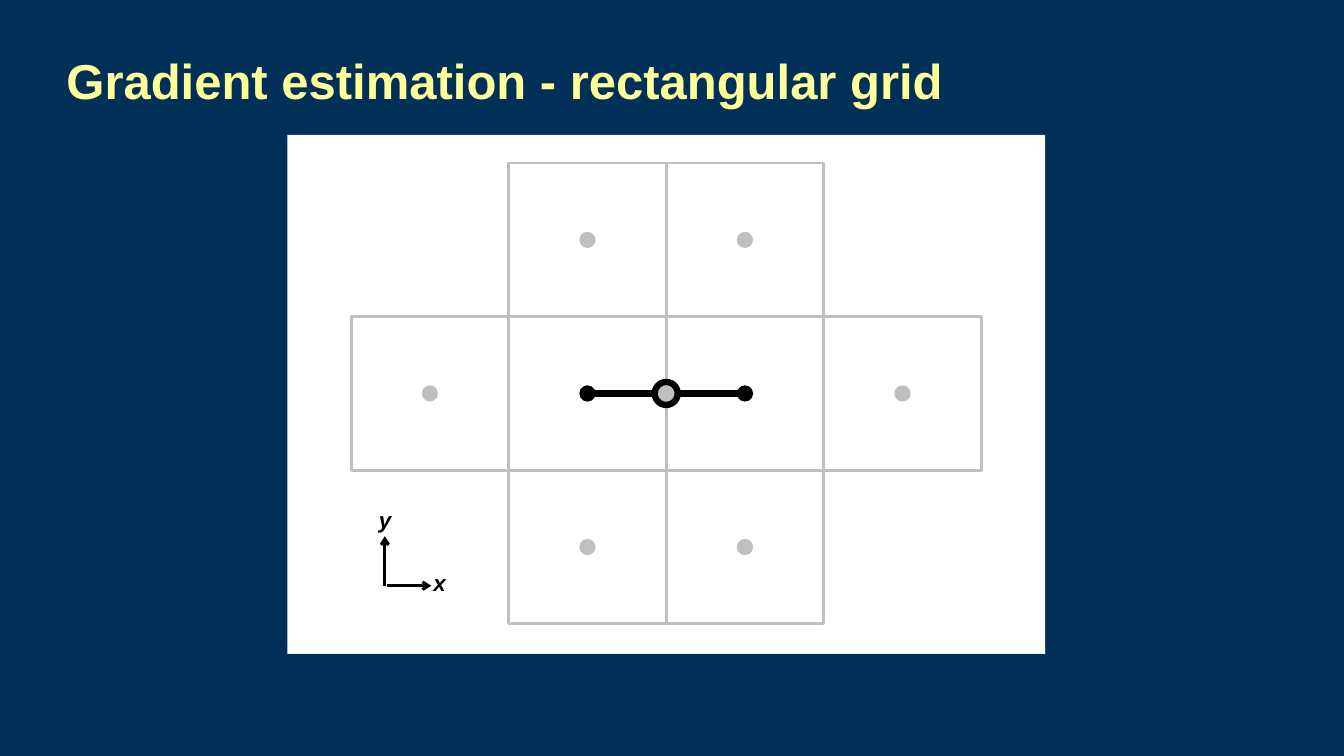
from lxml.etree import SubElement
from pptx import Presentation
from pptx.dml.color import RGBColor
from pptx.enum.shapes import MSO_CONNECTOR, MSO_SHAPE
from pptx.enum.text import MSO_ANCHOR, MSO_AUTO_SIZE, PP_ALIGN
from pptx.oxml.ns import qn
from pptx.util import Cm, Pt

NAVY = RGBColor(0x00, 0x2F, 0x57)
YELLOW = RGBColor(0xFF, 0xFF, 0x99)
WHITE = RGBColor(0xFF, 0xFF, 0xFF)
GRAY = RGBColor(0xBF, 0xBF, 0xBF)
BLACK = RGBColor(0x00, 0x00, 0x00)

GRID_LEFT, GRID_TOP = 8.85, 4.11
CELL_WIDTH, CELL_HEIGHT = 3.97, 3.87
DOT_SIZE, RING_SIZE = 0.41, 0.58
CELLS = [(1, 0), (2, 0), (0, 1), (1, 1), (2, 1), (3, 1), (1, 2), (2, 2)]
ACTIVE_CELLS = [(1, 1), (2, 1)]


def write_text(frame, text, size=16, color=BLACK, italic=False):
    """Write one bold, left-aligned line into a text frame."""
    para = frame.paragraphs[0]
    para.alignment = PP_ALIGN.LEFT
    span = para.add_run()
    span.text = text
    span.font.name = "Arial"
    span.font.size = Pt(size)
    span.font.bold = True
    span.font.italic = italic
    span.font.color.rgb = color


def cell_center(column, row):
    """Return the centre of a grid cell in centimetres."""
    return GRID_LEFT + (column + 0.5) * CELL_WIDTH, GRID_TOP + (row + 0.5) * CELL_HEIGHT


class GridPage:
    """Draw styled elements on the current slide."""

    def __init__(self, deck):
        """Add a title-only slide with the navy background."""
        self.page = deck.slides.add_slide(deck.slide_layouts[5])
        self.page.background.fill.solid()
        self.page.background.fill.fore_color.rgb = NAVY

    def title(self, text):
        """Place and format the title placeholder."""
        box = self.page.shapes.title
        box.left, box.top, box.width, box.height = Cm(1.42), Cm(0.43), Cm(30.76), Cm(3.18)
        box.text_frame.vertical_anchor = MSO_ANCHOR.MIDDLE
        box.text_frame.auto_size = MSO_AUTO_SIZE.NONE
        write_text(box.text_frame, text, size=35, color=YELLOW)

    def shape(self, kind, left, top, width, height, fill=None, line=None, weight=2):
        """Draw a preset shape with optional fill and outline."""
        shape = self.page.shapes.add_shape(kind, Cm(left), Cm(top), Cm(width), Cm(height))
        shape.shadow.inherit = False
        if fill is None:
            shape.fill.background()
        else:
            shape.fill.solid()
            shape.fill.fore_color.rgb = fill
        if line is None:
            shape.line.fill.background()
        else:
            shape.line.color.rgb = line
            shape.line.width = Pt(weight)

    def dot(self, center, size=DOT_SIZE, **style):
        """Draw a circle around a centre point."""
        x, y = center
        self.shape(MSO_SHAPE.OVAL, x - size / 2, y - size / 2, size, size, **style)

    def line(self, start, end, weight=2, arrow=False):
        """Draw a straight black line, with an arrowhead if asked."""
        points = [Cm(value) for value in (*start, *end)]
        line = self.page.shapes.add_connector(MSO_CONNECTOR.STRAIGHT, *points)
        line.line.color.rgb = BLACK
        line.line.width = Pt(weight)
        if arrow:
            SubElement(line.line._get_or_add_ln(), qn("a:tailEnd"), type="arrow")
        SubElement(line._element.spPr, qn("a:effectLst"))

    def label(self, text, left, top):
        """Write an axis name."""
        box = self.page.shapes.add_textbox(Cm(left), Cm(top), Cm(0.97), Cm(0.94))
        box.text_frame.word_wrap = True
        box.text_frame.auto_size = MSO_AUTO_SIZE.SHAPE_TO_FIT_TEXT
        write_text(box.text_frame, text, italic=True)


def main():
    """Build the slide and save the deck."""
    deck = Presentation()
    deck.slide_width, deck.slide_height = Cm(33.87), Cm(19.05)
    page = GridPage(deck)
    page.title("Gradient estimation - rectangular grid")
    page.shape(MSO_SHAPE.RECTANGLE, 7.24, 3.4, 19.1, 13.08, fill=WHITE)

    for column, row in CELLS:
        page.shape(MSO_SHAPE.RECTANGLE, GRID_LEFT + column * CELL_WIDTH,
                   GRID_TOP + row * CELL_HEIGHT, CELL_WIDTH, CELL_HEIGHT, line=GRAY)

    left_center, right_center = [cell_center(*cell) for cell in ACTIVE_CELLS]
    page.line(left_center, right_center, weight=5.25)
    for cell in CELLS:
        page.dot(cell_center(*cell), fill=BLACK if cell in ACTIVE_CELLS else GRAY)

    page.line((9.7, 14.76), (9.7, 13.51), arrow=True)
    page.line((9.75, 14.76), (10.87, 14.76), arrow=True)
    page.label("x", 10.67, 14.22)
    page.label("y", 9.3, 12.62)

    middle = ((left_center[0] + right_center[0]) / 2, left_center[1])
    page.dot(middle, size=RING_SIZE, fill=GRAY, line=BLACK, weight=4.5)
    deck.save("out.pptx")


if __name__ == "__main__":
    main()
